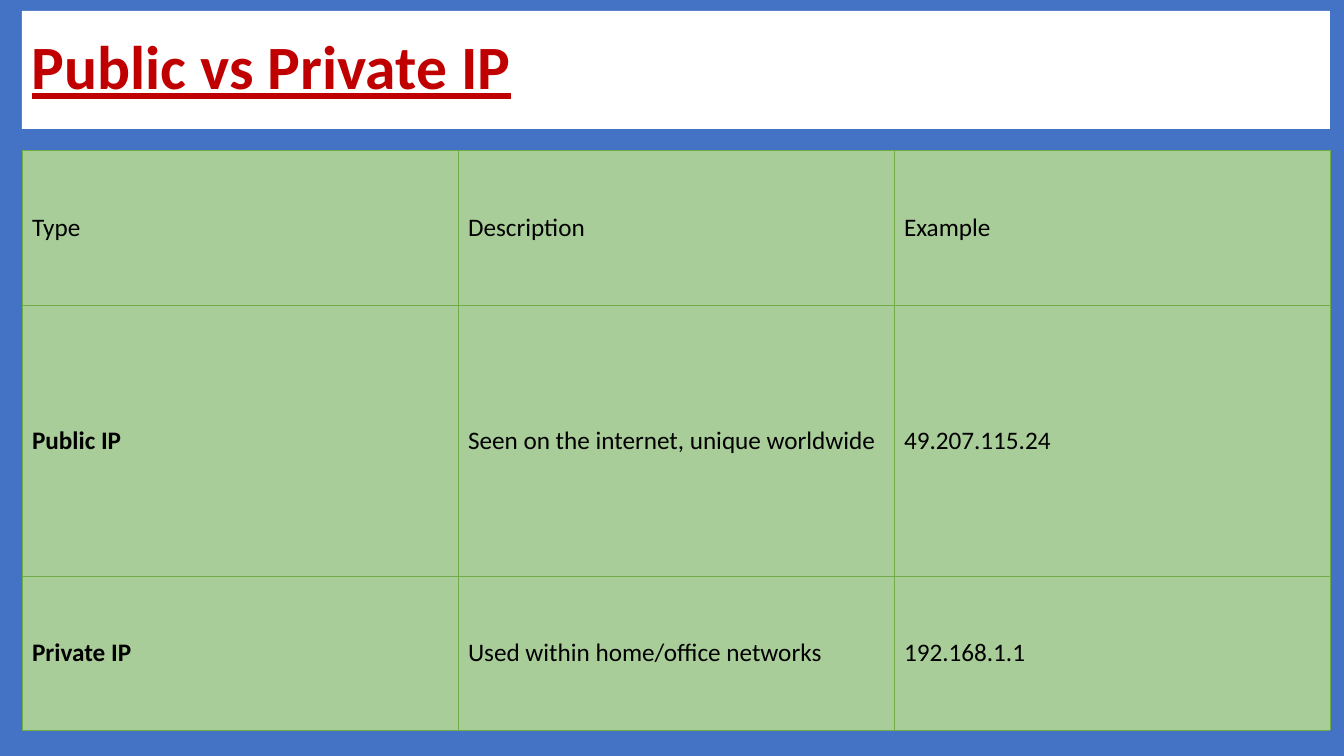
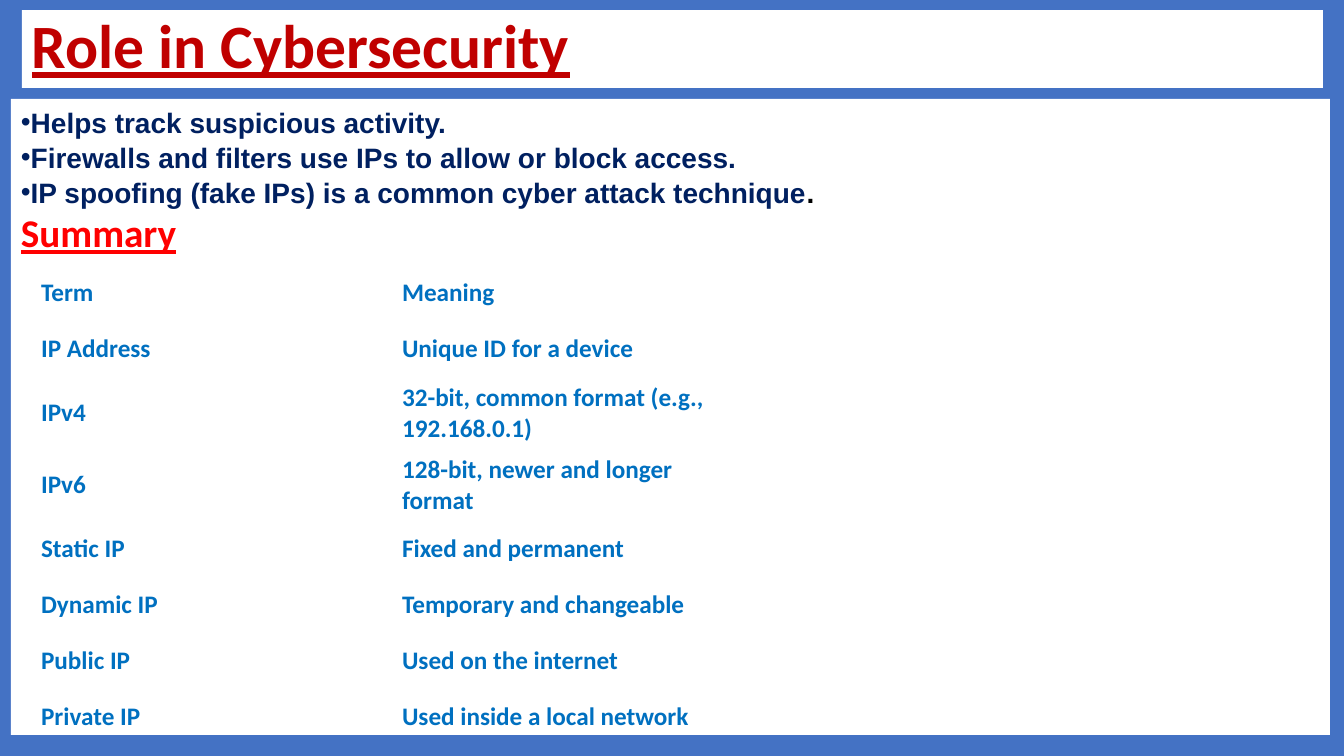
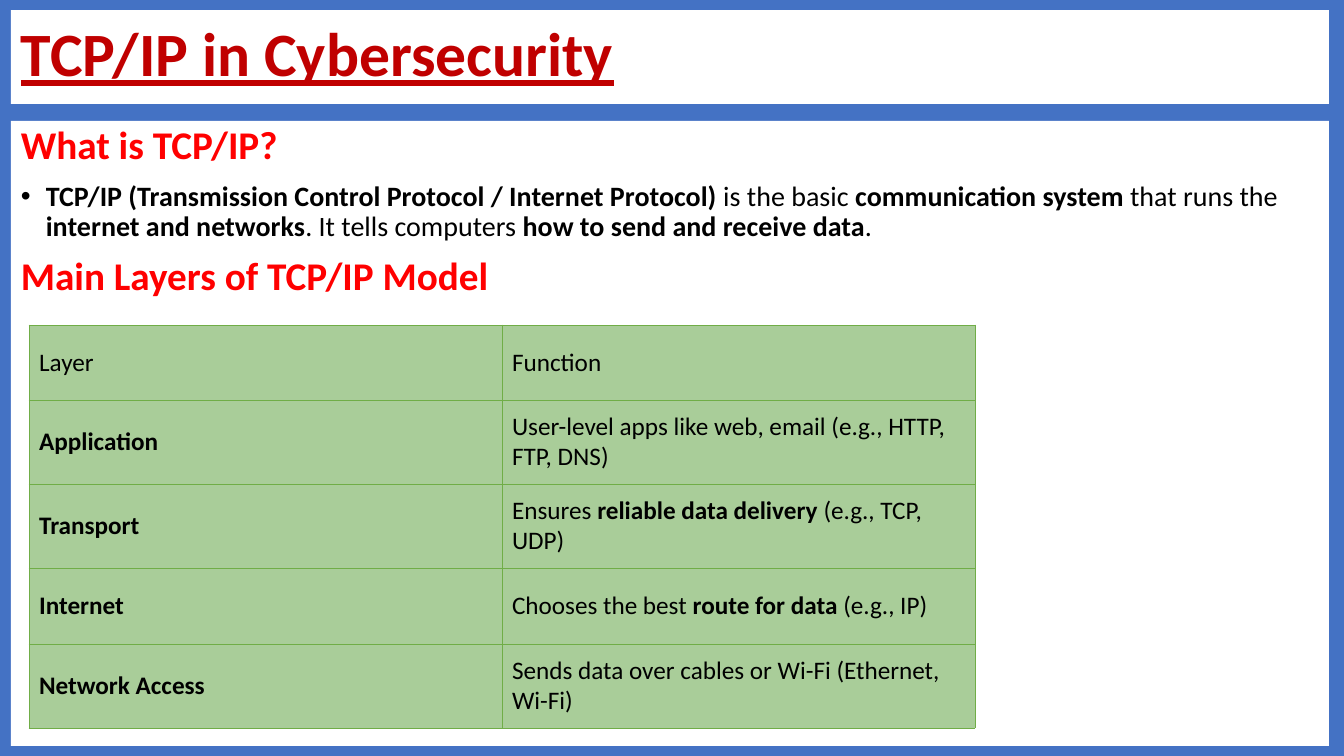
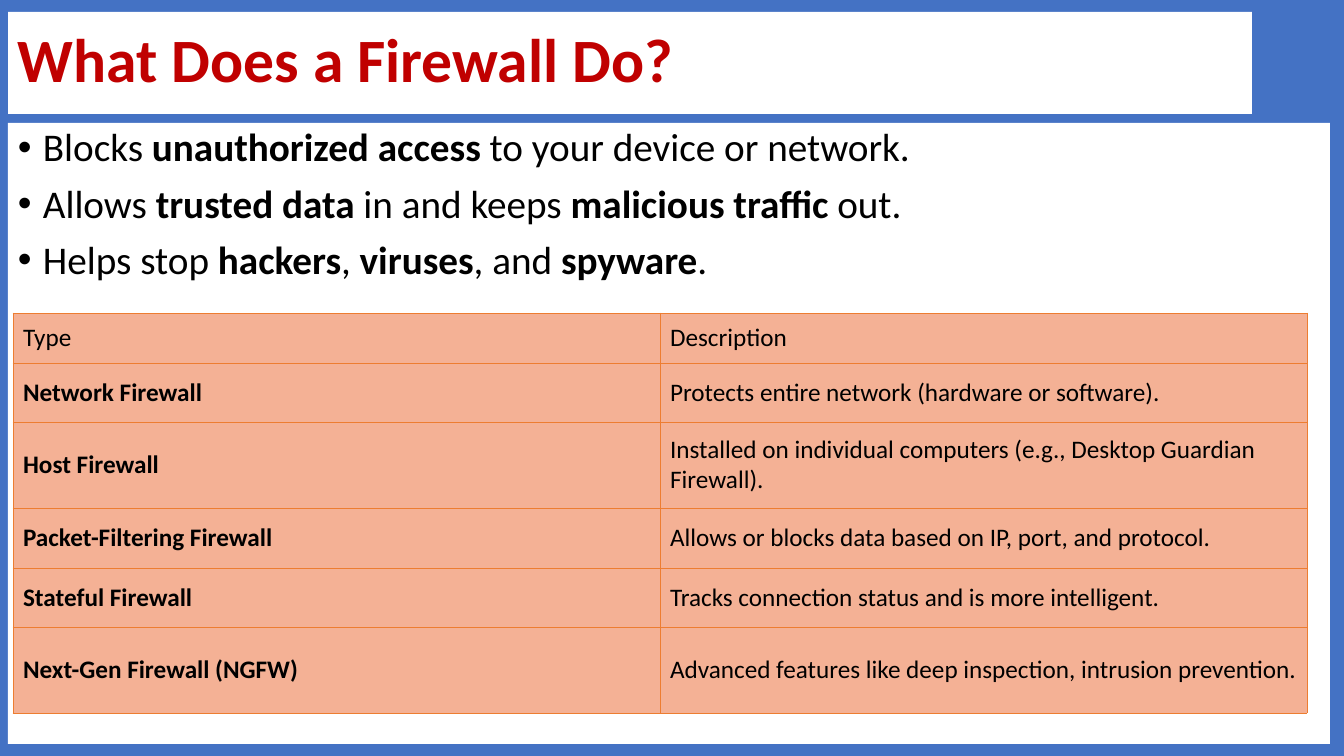
from dataclasses import dataclass
from pptx import Presentation
from pptx.dml.color import RGBColor
from pptx.enum.shapes import MSO_SHAPE
from pptx.enum.text import MSO_ANCHOR, PP_ALIGN
from pptx.oxml.ns import qn
from pptx.util import Emu, Pt
from lxml.etree import SubElement

WIDE, HIGH = 1344, 756
SCALE = 12192000 / WIDE
PLAIN = "{2D5ABB26-0587-4C30-8999-92F81FD0307C}"


@dataclass(frozen=True)
class Theme:
    back: str = "4472C4"
    panel: str = "FFFFFF"
    title: str = "C00000"
    head: str = "FF0000"
    ink: str = "000000"
    navy: str = "002060"
    blue: str = "0070C0"
    green: tuple = ("A9CD99", "70AD47")
    orange: tuple = ("F4B195", "ED7D31")
    font: str = "Calibri"
    sans: str = "Arial"
    big: int = 44
    mid: int = 28
    small: int = 20
    cell: int = 18


T = Theme()


def px(size):
    return Emu(round(size * SCALE))


def paint(fill, color):
    fill.solid()
    fill.fore_color.rgb = RGBColor.from_string(color)


def dot(para, indent):
    props = para._p.get_or_add_pPr()
    props.set("marL", str(px(indent)))
    props.set("indent", str(-px(indent)))
    SubElement(props, qn("a:buFont"), typeface=T.sans)
    SubElement(props, qn("a:buChar"), char="•")


def write(para, text, size=T.cell, color=T.ink, font=T.font, bold=False,
          under=False, line=None, before=None, bullet=None):
    if bullet is not None:
        dot(para, bullet)
    para.alignment = PP_ALIGN.LEFT
    if line:
        para.line_spacing = line
    if before:
        para.space_before = Pt(before)
    for spot, piece in enumerate(text.split("**")):
        if piece:
            run = para.add_run()
            run.text = piece
            face = run.font
            face.size, face.name = Pt(size), font
            face.bold = bold or spot % 2 == 1
            face.underline = under
            face.color.rgb = RGBColor.from_string(color)
    return para


def panel(slide, box, anchor=MSO_ANCHOR.TOP):
    shape = slide.shapes.add_shape(MSO_SHAPE.RECTANGLE, *map(px, box))
    shape.shadow.inherit = False
    paint(shape.fill, T.panel)
    shape.line.fill.background()
    frame = shape.text_frame
    frame.word_wrap = True
    frame.vertical_anchor = anchor
    return frame


def title(slide, text, box, under=True):
    frame = panel(slide, box, MSO_ANCHOR.MIDDLE)
    write(frame.paragraphs[0], text, size=T.big, color=T.title, bold=True,
          under=under, line=0.9)


def body(slide, box, items):
    frame = panel(slide, box)
    for spot, (text, style) in enumerate(items):
        para = frame.add_paragraph() if spot else frame.paragraphs[0]
        write(para, text, **(style if spot else {**style, "before": None}))
    return frame


def border(cell, color):
    props = cell._tc.get_or_add_tcPr()
    for side in ("lnL", "lnR", "lnT", "lnB"):
        edge = SubElement(props, qn(f"a:{side}"), w=str(Pt(0.5)))
        fill = SubElement(edge, qn("a:solidFill"))
        SubElement(fill, qn("a:srgbClr"), val=color)


def grid(slide, spot, width, highs, rows, look=None, bold=False, color=T.ink):
    count = len(rows[0])
    frame = slide.shapes.add_table(
        len(rows), count, *map(px, (*spot, width * count, sum(highs))))
    next(frame.element.iter(qn("a:tableStyleId"))).text = PLAIN
    table = frame.table
    table.first_row = table.horz_banding = False
    for col in table.columns:
        col.width = px(width)
    for r, (high, texts) in enumerate(zip(highs, rows)):
        table.rows[r].height = px(high)
        for c, text in enumerate(texts):
            cell = table.cell(r, c)
            cell.vertical_anchor = MSO_ANCHOR.MIDDLE
            if look:
                border(cell, look[1])
                paint(cell.fill, look[0])
            else:
                cell.fill.background()
            lead = r > 0 and c == 0
            write(cell.text_frame.paragraphs[0], text, color=color,
                  bold=bold or lead)


def kinds(slide):
    title(slide, "Public vs Private IP", (22, 11, 1308, 118))
    grid(slide, (22, 150), 436, (155, 271, 154), [
        ("Type", "Description", "Example"),
        ("Public IP", "Seen on the internet, unique worldwide", "49.207.115.24"),
        ("Private IP", "Used within home/office networks", "192.168.1.1"),
    ], T.green)


def role(slide):
    title(slide, "Role in Cybersecurity", (22, 10, 1301, 78))
    point = dict(size=T.small, color=T.navy, font=T.sans, bold=True,
                 line=1.04, bullet=0)
    frame = body(slide, (11, 99, 1319, 636), [
        ("Helps track suspicious activity.", point),
        ("Firewalls and filters use IPs to allow or block access.", point),
        ("IP spoofing (fake IPs) is a common cyber attack technique", point),
        ("Summary", dict(size=T.mid, color=T.head, bold=True, under=True)),
    ])
    write(frame.paragraphs[2], ".", size=T.small, font=T.sans, bold=True)
    rows = [
        ("Term", "Meaning"),
        ("IP Address", "Unique ID for a device"),
        ("IPv4", "32-bit, common format (e.g., 192.168.0.1)"),
        ("IPv6", "128-bit, newer and longer format"),
        ("Static IP", "Fixed and permanent"),
        ("Dynamic IP", "Temporary and changeable"),
        ("Public IP", "Used on the internet"),
        ("Private IP", "Used inside a local network"),
    ]
    highs = [72 if row[0] in ("IPv4", "IPv6") else 56 for row in rows]
    grid(slide, (31, 265), 361, highs, rows, bold=True, color=T.blue)


def layers(slide):
    title(slide, "TCP/IP in Cybersecurity", (11, 10, 1318, 94))
    head = dict(size=T.mid, color=T.head, bold=True, line=0.9, before=10)
    body(slide, (11, 121, 1318, 625), [
        ("What is TCP/IP?", head),
        ("**TCP/IP (Transmission Control Protocol / Internet Protocol)** is "
         "the basic **communication system** that runs the **internet and "
         "networks**. It tells computers **how to send and receive data**.",
         dict(size=T.small, line=0.9, before=10, bullet=25)),
        ("Main Layers of TCP/IP Model", head),
    ])
    grid(slide, (29, 325), 473, (75, 84, 84, 76, 84), [
        ("Layer", "Function"),
        ("Application", "User-level apps like web, email (e.g., HTTP, FTP, DNS)"),
        ("Transport", "Ensures **reliable data delivery** (e.g., TCP, UDP)"),
        ("Internet", "Chooses the best **route for data** (e.g., IP)"),
        ("Network Access", "Sends data over cables or Wi-Fi (Ethernet, Wi-Fi)"),
    ], T.green)


def walls(slide):
    title(slide, "What Does a Firewall Do?", (8, 12, 1244, 102), under=False)
    point = dict(size=T.mid, line=0.9, before=10, bullet=25)
    body(slide, (8, 123, 1322, 621), [
        ("Blocks **unauthorized access** to your device or network.", point),
        ("Allows **trusted data** in and keeps **malicious traffic** out.", point),
        ("Helps stop **hackers**, **viruses**, and **spyware**.", point),
    ])
    grid(slide, (13, 313), 647, (50, 59, 86, 60, 59, 86), [
        ("Type", "Description"),
        ("Network Firewall", "Protects entire network (hardware or software)."),
        ("Host Firewall", "Installed on individual computers (e.g., "
         "Desktop Guardian Firewall)."),
        ("Packet-Filtering Firewall",
         "Allows or blocks data based on IP, port, and protocol."),
        ("Stateful Firewall", "Tracks connection status and is more intelligent."),
        ("Next-Gen Firewall (NGFW)",
         "Advanced features like deep inspection, intrusion prevention."),
    ], T.orange)


def main():
    deck = Presentation()
    deck.slide_width, deck.slide_height = px(WIDE), px(HIGH)
    paint(deck.slide_master.background.fill, T.back)
    for build in (kinds, role, layers, walls):
        build(deck.slides.add_slide(deck.slide_layouts[6]))
    deck.save("out.pptx")


if __name__ == "__main__":
    main()
